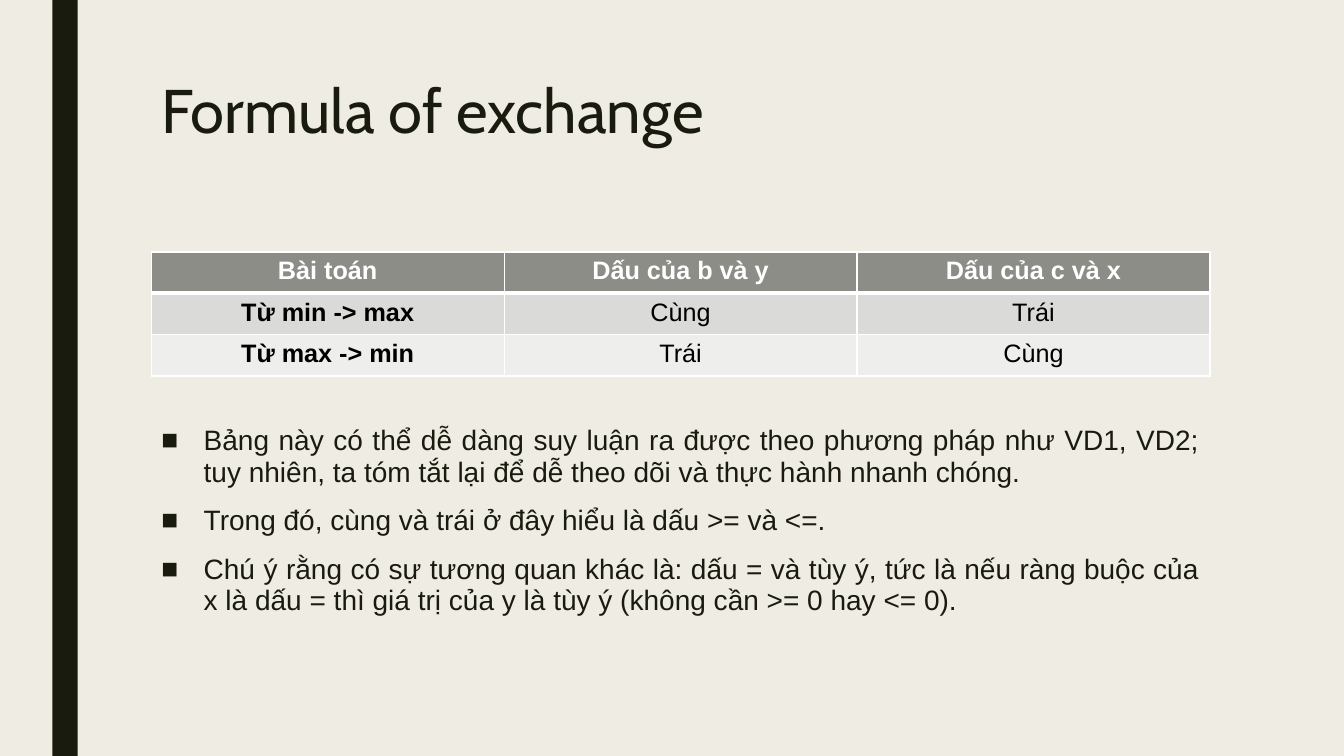
"""Build the slide on the formula of exchange."""
from dataclasses import dataclass

from lxml import etree
from pptx import Presentation
from pptx.dml.color import RGBColor
from pptx.enum.shapes import MSO_SHAPE
from pptx.enum.text import MSO_ANCHOR, MSO_AUTO_SIZE, PP_ALIGN
from pptx.oxml.ns import qn
from pptx.util import Inches, Pt

RECT = MSO_SHAPE.RECTANGLE
TOP = MSO_ANCHOR.TOP
FIXED = MSO_AUTO_SIZE.NONE
LEFT, MID, JUST = PP_ALIGN.LEFT, PP_ALIGN.CENTER, PP_ALIGN.JUSTIFY

TITLE = "Formula of exchange"
ROWS = [
    ("Bài toán", "Dấu của b và y", "Dấu của c và x"),
    ("Từ min -> max", "Cùng", "Trái"),
    ("Từ max -> min", "Trái", "Cùng"),
]
NOTES = [
    "Bảng này có thể dễ dàng suy luận ra được theo phương pháp như VD1, VD2; "
    "tuy nhiên, ta tóm tắt lại để dễ theo dõi và thực hành nhanh chóng.",
    "Trong đó, cùng và trái ở đây hiểu là dấu >= và <=. ",
    "Chú ý rằng có sự tương quan khác là: dấu = và tùy ý, tức là nếu ràng buộc "
    "của x là dấu = thì giá trị của y là tùy ý (không cần >= 0 hay <= 0).",
]


@dataclass(frozen=True)
class Theme:
    """Colours, fonts and type sizes."""
    back: str = "EFEDE3"
    ink: str = "191B0E"
    white: str = "FFFFFF"
    black: str = "000000"
    bands: tuple = ("8C8D86", "DADBD9", "EEEEED")
    head: str = "Cabin"
    body: str = "Arial"
    title: int = 44
    cell: int = 18
    note: int = 20


THEME = Theme()
X, WIDTH, ROW = 1.5, 10.5, 0.41


def paint(fill, color):
    """Fill with a solid colour."""
    fill.solid()
    fill.fore_color.rgb = RGBColor.from_string(color)


def write(par, text, *, size, font=THEME.body, color=THEME.ink, bold=False,
          align=LEFT, line=1.0, before=0, after=0):
    """Put formatted text in a paragraph."""
    par.alignment, par.line_spacing = align, line
    par.space_before, par.space_after = Pt(before), Pt(after)
    run = par.add_run()
    run.text = text
    run.font.name, run.font.size, run.font.bold = font, Pt(size), bold
    run.font.color.rgb = RGBColor.from_string(color)


def place(shape, top, height):
    """Set a placeholder in the main column."""
    shape.left, shape.top = Inches(X), Inches(top)
    shape.width, shape.height = Inches(WIDTH), Inches(height)
    frame = shape.text_frame
    frame.word_wrap, frame.auto_size = True, FIXED
    frame.vertical_anchor = TOP
    return frame


def bullet(par, indent):
    """Give a paragraph a square bullet and a hanging indent."""
    props = par._p.get_or_add_pPr()
    props.set("marL", str(Inches(indent)))
    props.set("indent", str(-Inches(indent)))
    etree.SubElement(props, qn("a:buFont")).set("typeface", THEME.body)
    etree.SubElement(props, qn("a:buChar")).set("char", "■")


def border(cell, base):
    """Draw white cell borders with a given bottom width and top width."""
    props = cell._tc.get_or_add_tcPr()
    for spot, (side, width) in enumerate(base.items()):
        line = etree.Element(qn(f"a:ln{side}"), w=str(Pt(width)))
        fill = etree.SubElement(line, qn("a:solidFill"))
        etree.SubElement(fill, qn("a:srgbClr")).set("val", THEME.white)
        props.insert(spot, line)


deck = Presentation()
deck.slide_width, deck.slide_height = Inches(13.33), Inches(7.5)
slide = deck.slides.add_slide(deck.slide_layouts[1])
paint(slide.background.fill, THEME.back)

bar = slide.shapes.add_shape(RECT, Inches(0.52), 0, Inches(0.25), deck.slide_height)
bar.shadow.inherit = False
paint(bar.fill, THEME.ink)
bar.line.fill.background()

head = place(slide.shapes.title, 0.75, 1.62)
write(head.paragraphs[0], TITLE, size=THEME.title, font=THEME.head, line=0.89)

grid = slide.shapes.add_table(len(ROWS), len(ROWS[0]), Inches(X), Inches(2.5),
                              Inches(WIDTH), Inches(ROW * len(ROWS))).table
for r, row in enumerate(ROWS):
    grid.rows[r].height = Inches(ROW)
    for c, text in enumerate(row):
        cell = grid.cell(r, c)
        paint(cell.fill, THEME.bands[r])
        border(cell, {"L": 1, "R": 1, "T": 3 if r == 1 else 1, "B": 3 if r == 0 else 1})
        write(cell.text_frame.paragraphs[0], text, size=THEME.cell, align=MID,
              color=THEME.black if r else THEME.white, bold=r == 0 or c == 0)

body = place(slide.placeholders[1], 4.17, 2.25)
for i, note in enumerate(NOTES):
    par = body.add_paragraph() if i else body.paragraphs[0]
    write(par, note, size=THEME.note, align=JUST, line=0.94, before=10, after=2)
    bullet(par, 0.42)

deck.save("out.pptx")
